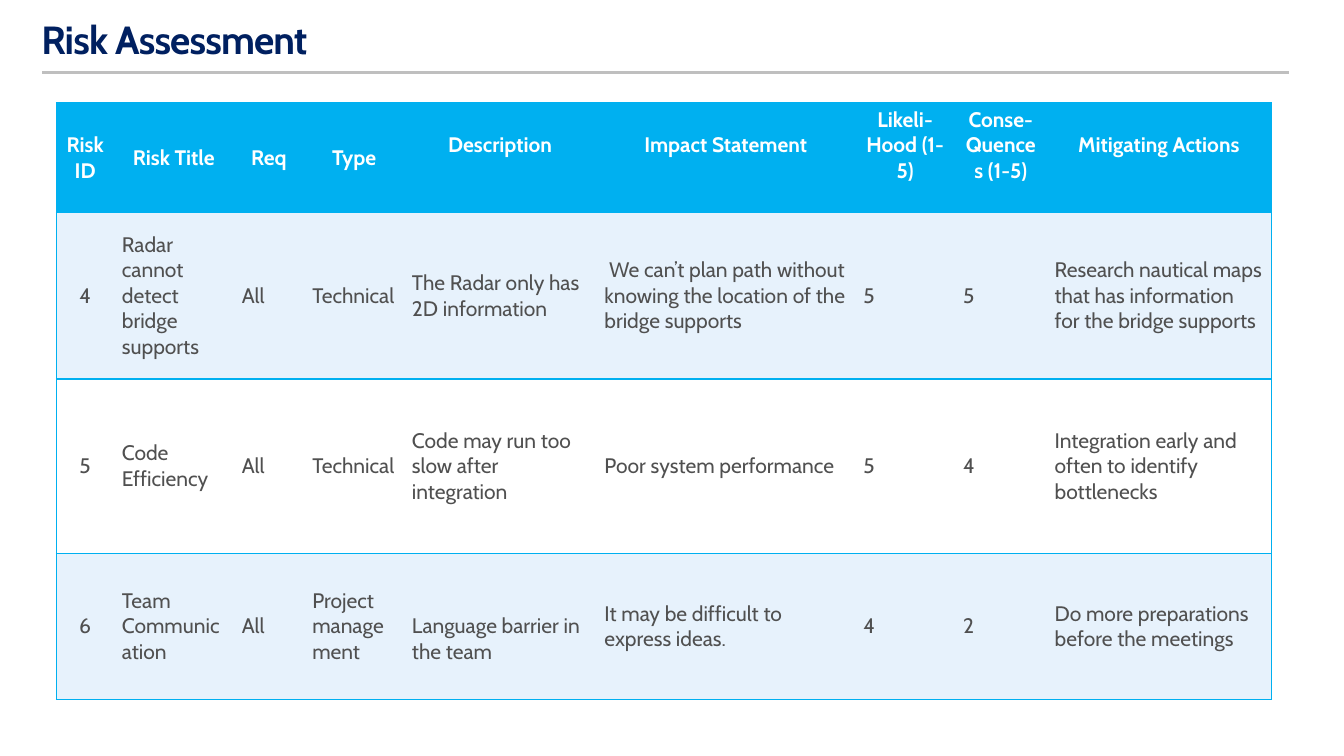
import pptx
import pptx.dml.color
import pptx.enum.shapes
import pptx.enum.text
import pptx.oxml.ns
import pptx.util
import lxml.etree

Inches = pptx.util.Inches
Pt = pptx.util.Pt
ALIGN = pptx.enum.text.PP_ALIGN
MIDDLE = pptx.enum.text.MSO_ANCHOR.MIDDLE
FONT = "Cabin"
BLUE, PALE, WHITE = "00B0F0", "E7F2FC", "FFFFFF"
NAVY, DARK, GRAY = "002060", "505050", "BFBFBF"
LINE = 0.25

COLS = [0.57, 1.19, 0.7, 0.99, 1.91, 2.57, 0.99, 0.91, 2.23]
ROWS = [1.05, 1.65, 1.73, 1.45]
RISKS = [
    ["Risk ID", "Risk Title", "Req", "Type", "Description", "Impact Statement",
     "Likeli-\nHood (1-5)", "Conse-\nQuences (1-5)", "Mitigating Actions"],
    ["4", "Radar cannot detect bridge supports", "All", "Technical",
     "The Radar only has 2D information",
     " We can’t plan path without knowing the location of the bridge supports",
     "5", "5", "Research nautical maps that has information for the bridge supports"],
    ["5", "Code Efficiency", "All", "Technical",
     "Code may run too slow after integration", "Poor system performance",
     "5", "4", "Integration early and often to identify bottlenecks"],
    ["6", "Team Communication", "All", "Project management",
     "Language barrier in the team", "It may be difficult to express ideas.",
     "4", "2", "Do more preparations before the meetings"],
]


def tint(code):
    return pptx.dml.color.RGBColor.from_string(code)


def write(frame, text, size=15, color=DARK, bold=False, align=ALIGN.LEFT,
          space=1.0, track=0):
    frame.word_wrap = True
    for i, words in enumerate(text.split("\n")):
        para = frame.paragraphs[0] if i == 0 else frame.add_paragraph()
        para.alignment = align
        para.line_spacing = space
        run = para.add_run()
        run.text = words
        run.font.name = FONT
        run.font.size = Pt(size)
        run.font.bold = bold
        run.font.color.rgb = tint(color)
        if track:
            run._r.get_or_add_rPr().set("spc", str(round(track * 100)))


def add(parent, tag, **attrs):
    return lxml.etree.SubElement(parent, pptx.oxml.ns.qn(tag), **attrs)


def edge(cell, sides):
    props = cell._tc.get_or_add_tcPr()
    for side in "LRTB":
        line = add(props, "a:ln" + side, w=str(Pt(1)))
        if side in sides:
            fill = add(line, "a:solidFill")
            add(fill, "a:srgbClr", val=BLUE)
        else:
            add(line, "a:noFill")


def head(slide, left, top, width, height):
    title = slide.shapes.title
    title.left, title.top = Inches(left), Inches(top)
    title.width, title.height = Inches(width), Inches(height)
    frame = title.text_frame
    frame.auto_size = pptx.enum.text.MSO_AUTO_SIZE.NONE
    frame.vertical_anchor = MIDDLE
    frame.margin_left, frame.margin_top = Inches(0.41), Inches(0.17)
    frame.margin_right = frame.margin_bottom = Inches(0.06)
    write(frame, "Risk Assessment", size=28, color=NAVY, bold=True,
          space=0.9, track=-0.6)
    low = Inches(top + height + 0.01)
    rule = slide.shapes.add_connector(
        pptx.enum.shapes.MSO_CONNECTOR.STRAIGHT,
        Inches(left + 0.42), low, Inches(left + 12.78), low)
    rule.line.color.rgb = tint(GRAY)
    rule.line.width = Pt(1.75)
    add(rule._element.spPr, "a:effectLst")


def grid(slide, left, top, width, height):
    table = slide.shapes.add_table(
        len(ROWS), len(COLS), Inches(left), Inches(top),
        Inches(width), Inches(height)).table
    for col, size in zip(table.columns, COLS):
        col.width = Inches(width * size / sum(COLS))
    for row, size in zip(table.rows, ROWS):
        row.height = Inches(height * size / sum(ROWS))
    final = len(COLS) - 1
    for r, risk in enumerate(RISKS):
        for c, text in enumerate(risk):
            cell = table.cell(r, c)
            top_row = r == 0
            lift = LINE if top_row and c >= 4 else 0
            drop = LINE if r == 3 and c == 4 else 0
            cell.vertical_anchor = MIDDLE
            cell.margin_left = cell.margin_right = Inches(0.08)
            cell.margin_top = Inches(0.04 + drop)
            cell.margin_bottom = Inches(0.04 + lift)
            edge(cell, "TB" + "L" * (c == 0) + "R" * (c == final))
            cell.fill.solid()
            cell.fill.fore_color.rgb = tint(
                BLUE if top_row else PALE if r % 2 else WHITE)
            write(cell.text_frame, text, bold=top_row,
                  color=WHITE if top_row else DARK,
                  align=ALIGN.CENTER if top_row or c == 0 else ALIGN.LEFT)


def main():
    deck = pptx.Presentation()
    deck.slide_width, deck.slide_height = Inches(13.33), Inches(7.5)
    slide = deck.slides.add_slide(deck.slide_layouts[5])
    head(slide, 0, 0, 13.14, 0.71)
    grid(slide, 0.56, 1.02, 12.05, 5.88)
    deck.save("out.pptx")


if __name__ == "__main__":
    main()
